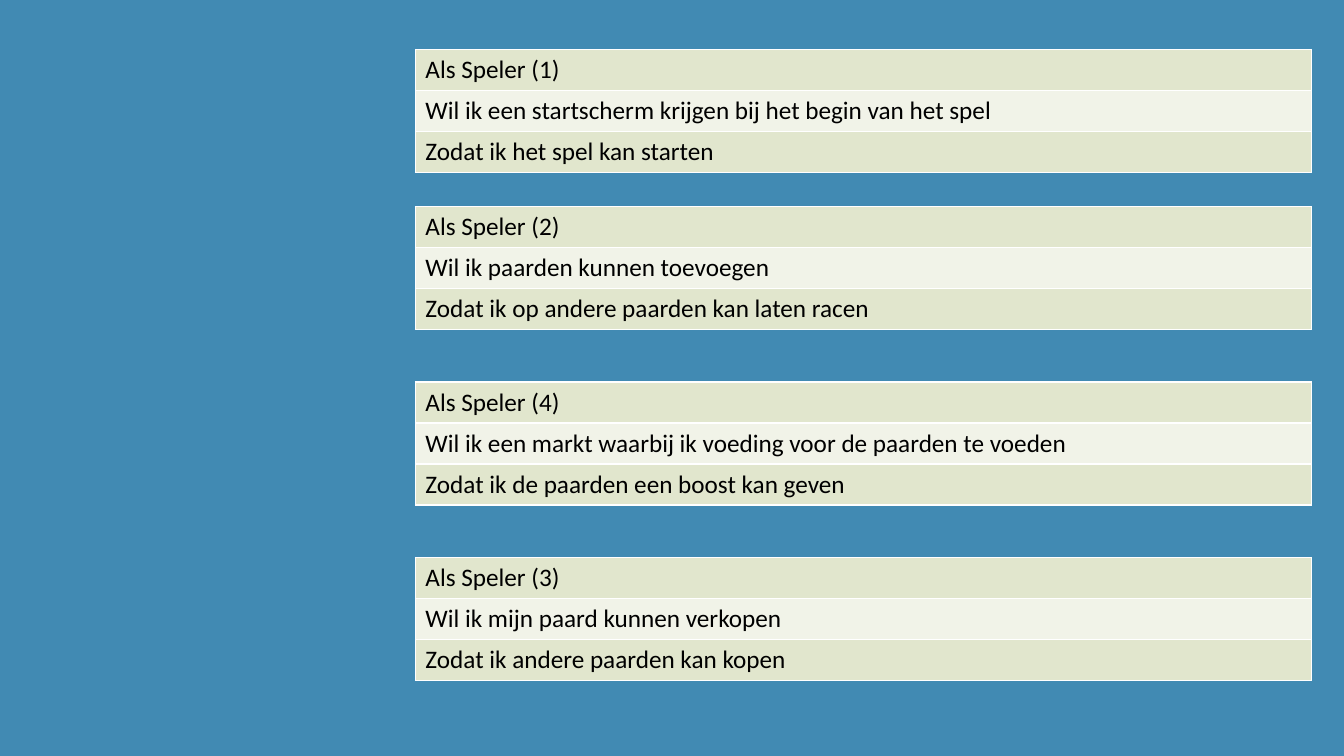
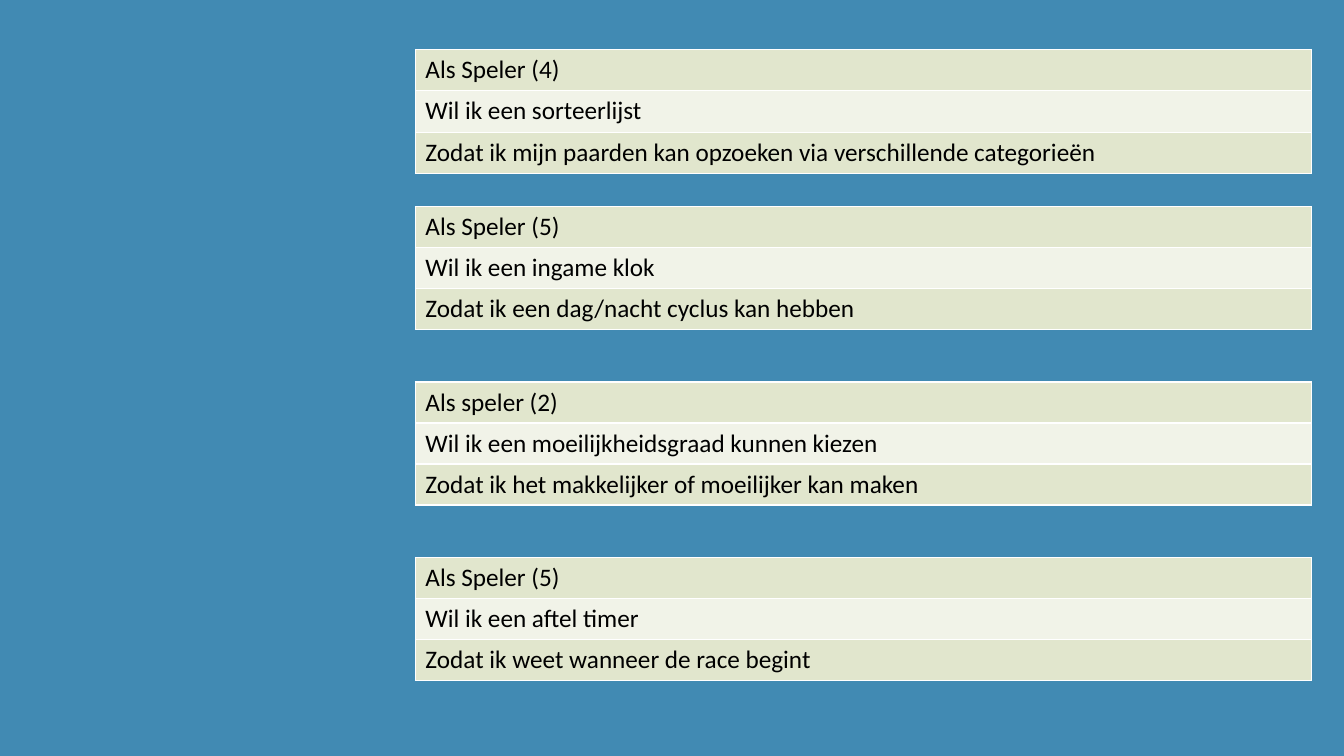
import pptx
import pptx.dml.color
import pptx.oxml
import pptx.oxml.ns
import pptx.util
from pptx.util import Inches

# Shared look
BLUE = pptx.dml.color.RGBColor(0x41, 0x8A, 0xB3)
GREEN = pptx.dml.color.RGBColor(0xE1, 0xE6, 0xCD)
PALE = pptx.dml.color.RGBColor(0xF1, 0xF3, 0xE8)
WHITE = pptx.dml.color.RGBColor(0xFF, 0xFF, 0xFF)
BLACK = pptx.dml.color.RGBColor(0x00, 0x00, 0x00)
CELL_FONT = {"name": "Calibri", "size": pptx.util.Pt(18), "bold": False}
PLAIN_TABLE = {"first_row": False, "horz_banding": False}
BORDER_WIDTH = pptx.util.Pt(1)

# Shared places
CARD_LEFT, CARD_WIDTH, CARD_HEIGHT = Inches(4.12), Inches(8.89), Inches(1.22)
CARD_TOPS = [Inches(top) for top in (0.49, 2.05, 3.79, 5.53)]

# User stories: role, wish, reason
STORY_SLIDES = [
    [
        ("Als Speler (1)",
         "Wil ik een startscherm krijgen bij het begin van het spel",
         "Zodat ik het spel kan starten"),
        ("Als Speler (2)",
         "Wil ik paarden kunnen toevoegen",
         "Zodat ik op andere paarden kan laten racen"),
        ("Als Speler (4)",
         "Wil ik een markt waarbij ik voeding voor de paarden te voeden",
         "Zodat ik de paarden een boost kan geven"),
        ("Als Speler (3)",
         "Wil ik mijn paard kunnen verkopen",
         "Zodat ik andere paarden kan kopen"),
    ],
    [
        ("Als Speler (4)",
         "Wil ik een sorteerlijst",
         "Zodat ik mijn paarden kan opzoeken via verschillende categorieën"),
        ("Als Speler (5)",
         "Wil ik een ingame klok",
         "Zodat ik een dag/nacht cyclus kan hebben"),
        ("Als speler (2)",
         "Wil ik een moeilijkheidsgraad kunnen kiezen",
         "Zodat ik het makkelijker of moeilijker kan maken"),
        ("Als Speler (5)",
         "Wil ik een aftel timer",
         "Zodat ik weet wanneer de race begint"),
    ],
]


def set_attributes(target, values):
    for name, value in values.items():
        setattr(target, name, value)


def add_borders(cell):
    """Draw a white line on all four sides of a cell."""
    properties = cell._tc.get_or_add_tcPr()
    for side in ("lnL", "lnR", "lnT", "lnB"):
        properties.append(pptx.oxml.parse_xml(
            f'<a:{side} {pptx.oxml.ns.nsdecls("a")} w="{BORDER_WIDTH}">'
            f'<a:solidFill><a:srgbClr val="{WHITE}"/></a:solidFill></a:{side}>'))


def fill_cell(cell, text, color):
    add_borders(cell)
    cell.fill.solid()
    cell.fill.fore_color.rgb = color
    paragraph = cell.text_frame.paragraphs[0]
    run = paragraph.add_run()
    run.text = text
    set_attributes(run.font, CELL_FONT)
    run.font.color.rgb = BLACK


def add_story_card(slide, story, top):
    """Add one story as a table with a row for each line."""
    table = slide.shapes.add_table(
        len(story), 1, CARD_LEFT, top, CARD_WIDTH, CARD_HEIGHT).table
    set_attributes(table, PLAIN_TABLE)
    for row, line in enumerate(story):
        fill_cell(table.cell(row, 0), line, PALE if row % 2 else GREEN)
    return table


def add_story_slide(presentation, stories):
    slide = presentation.slides.add_slide(presentation.slide_layouts[6])
    return [add_story_card(slide, story, top)
            for story, top in zip(stories, CARD_TOPS)]


def main():
    presentation = pptx.Presentation()
    presentation.slide_width = Inches(13.33)
    presentation.slide_height = Inches(7.5)

    # Blue background for every slide
    background = presentation.slide_master.background.fill
    background.solid()
    background.fore_color.rgb = BLUE

    cards = [add_story_slide(presentation, stories) for stories in STORY_SLIDES]

    # The sorting story has a slightly taller middle row
    cards[1][0].rows[1].height = Inches(0.42)

    presentation.save("out.pptx")


if __name__ == "__main__":
    main()
